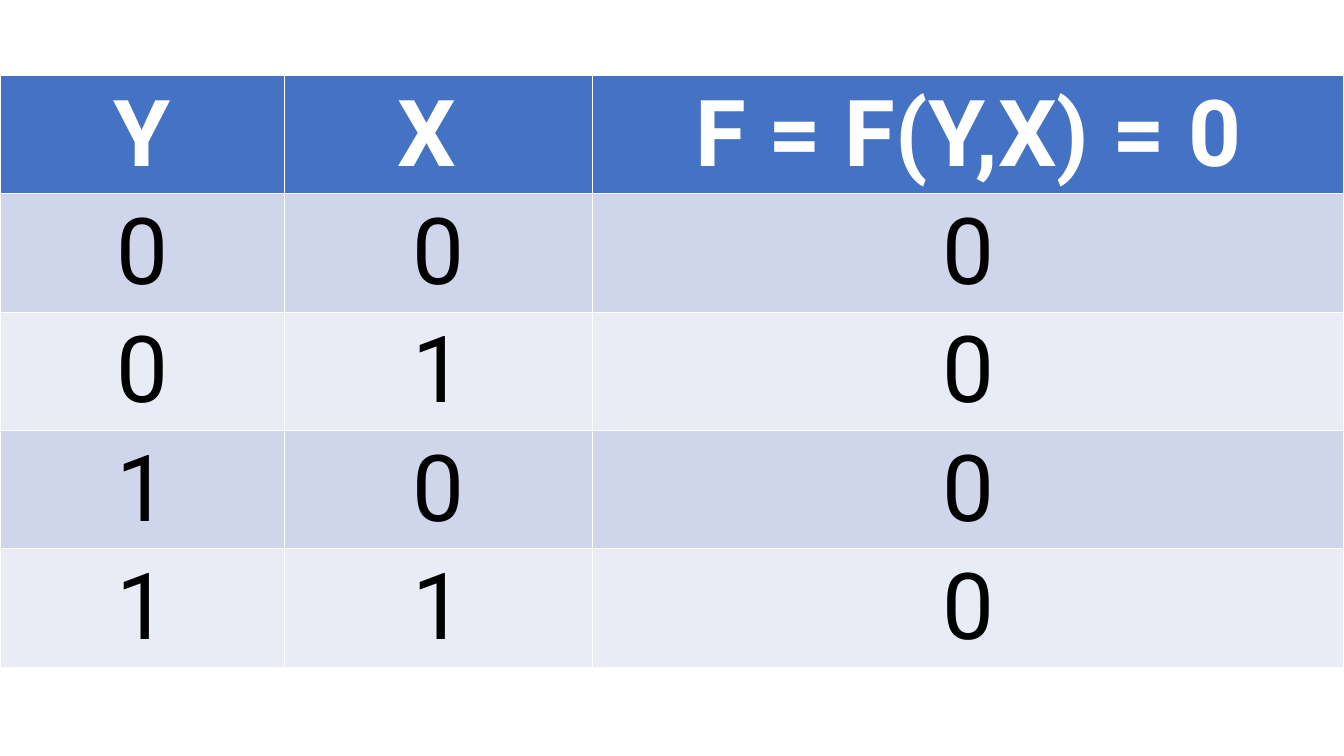
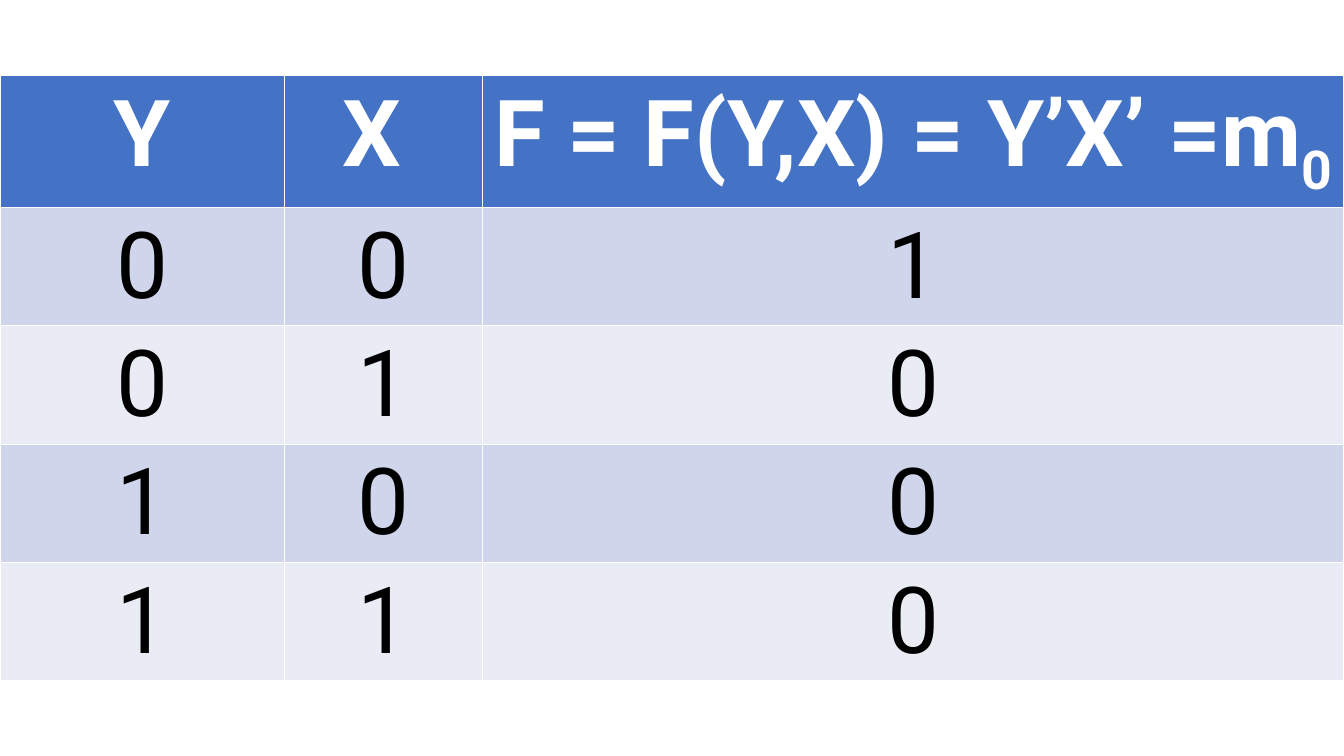
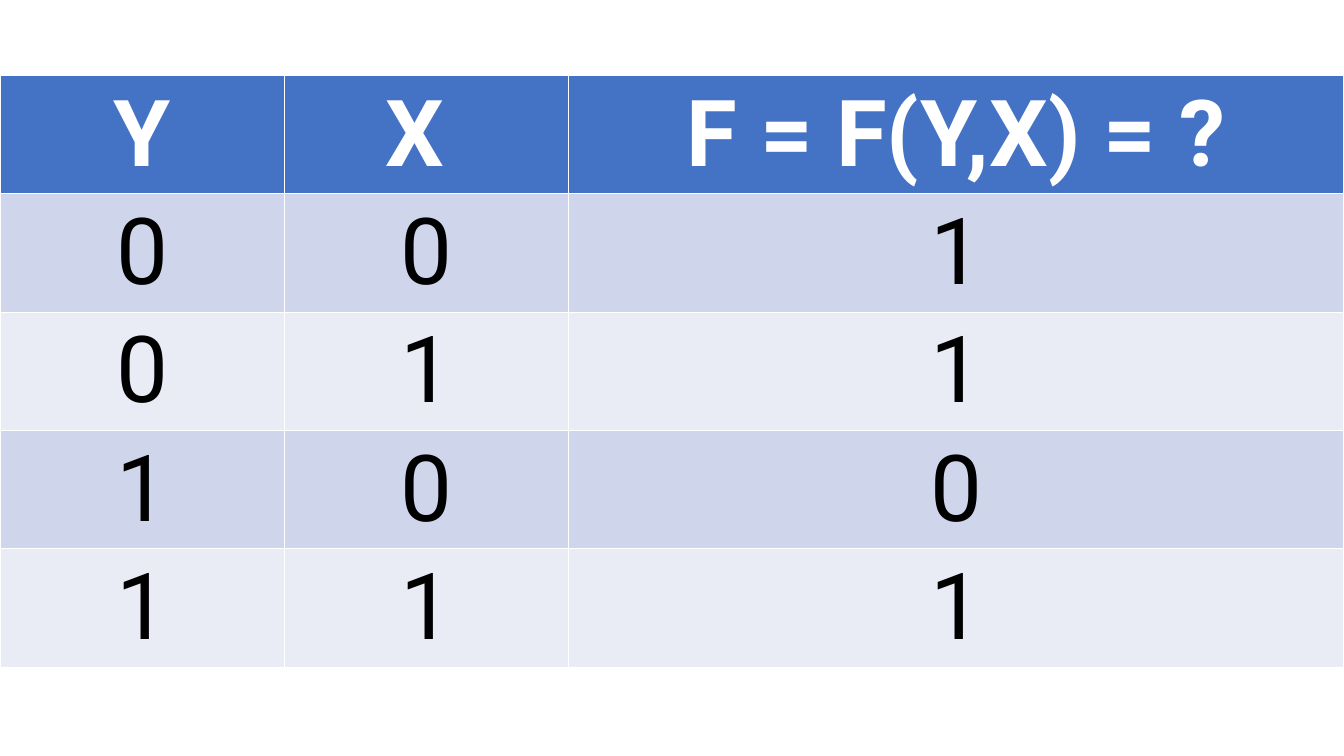
"""Build three truth-table slides for functions of Y and X."""
from itertools import product

from pptx import Presentation
from pptx.dml.color import RGBColor as RGB
from pptx.enum.text import PP_ALIGN as Align
from pptx.util import Inches, Pt

BLUE = RGB(0x44, 0x72, 0xC4)
WHITE = RGB(0xFF, 0xFF, 0xFF)
BLACK = RGB(0, 0, 0)
BANDS = RGB(0xCF, 0xD5, 0xEA), RGB(0xE9, 0xEB, 0xF5)
FONT, SIZE = "Roboto", Pt(66)
WIDTH, TOP, ROW = 13.33, 0.75, 1.17
Y_COL = 2.82

TABLES = [
    {"head": "F = F(Y,X) = 0", "sub": "", "values": "0000", "x_col": 3.06},
    {"head": "F = F(Y,X) = Y’X’ =m", "sub": "0", "values": "1000", "x_col": 1.97},
    {"head": "F = F(Y,X) = ?", "sub": "", "values": "1101", "x_col": 2.82},
]


def fill_cell(cell, text, fill, color, bold, sub=""):
    cell.fill.solid()
    cell.fill.fore_color.rgb = fill
    para = cell.text_frame.paragraphs[0]
    para.text = text
    para.alignment = Align.CENTER
    if sub:
        run = para.add_run()
        run.text = sub
        run._r.get_or_add_rPr().set("baseline", "-25000")
    for run in para.runs:
        font = run.font
        font.name, font.size, font.bold = FONT, SIZE, bold
        font.color.rgb = color


def add_truth(slide, head, sub, values, x_col):
    rows = [(y, x, f) for (y, x), f in zip(product("01", repeat=2), values)]
    count = len(rows) + 1
    table = slide.shapes.add_table(
        count, 3, 0, Inches(TOP), Inches(WIDTH), Inches(ROW * count)
    ).table
    widths = Y_COL, x_col, WIDTH - Y_COL - x_col
    for col, width in zip(table.columns, widths):
        col.width = Inches(width)
    for c, (text, low) in enumerate([("Y", ""), ("X ", ""), (head, sub)]):
        fill_cell(table.cell(0, c), text, BLUE, WHITE, True, low)
    for r, row in enumerate(rows):
        for c, text in enumerate(row):
            fill_cell(table.cell(r + 1, c), text, BANDS[r % 2], BLACK, False)


def main():
    deck = Presentation()
    deck.slide_width, deck.slide_height = Inches(WIDTH), Inches(7.5)
    blank = deck.slide_layouts[6]
    for data in TABLES:
        add_truth(deck.slides.add_slide(blank), **data)
    deck.save("out.pptx")


if __name__ == "__main__":
    main()
